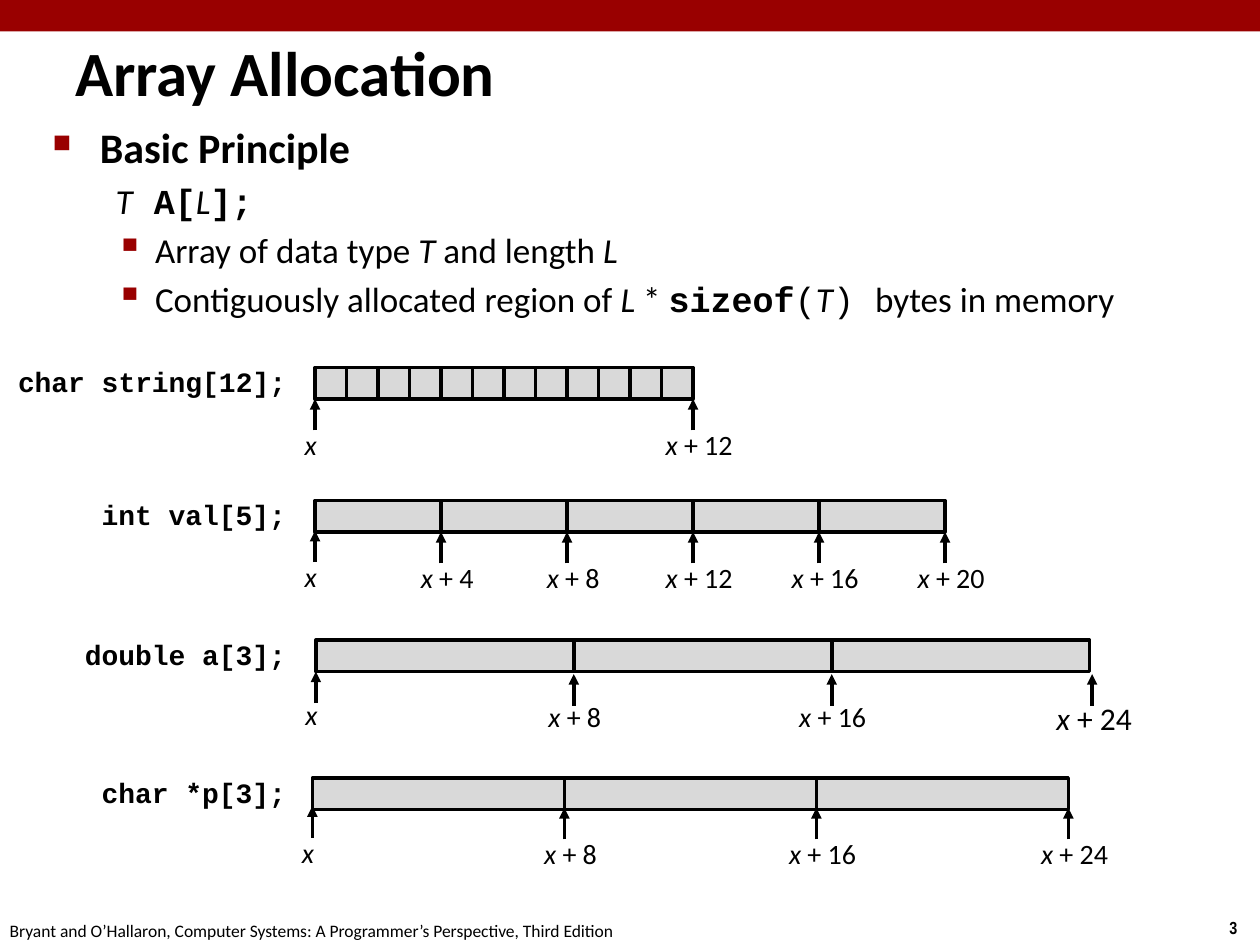
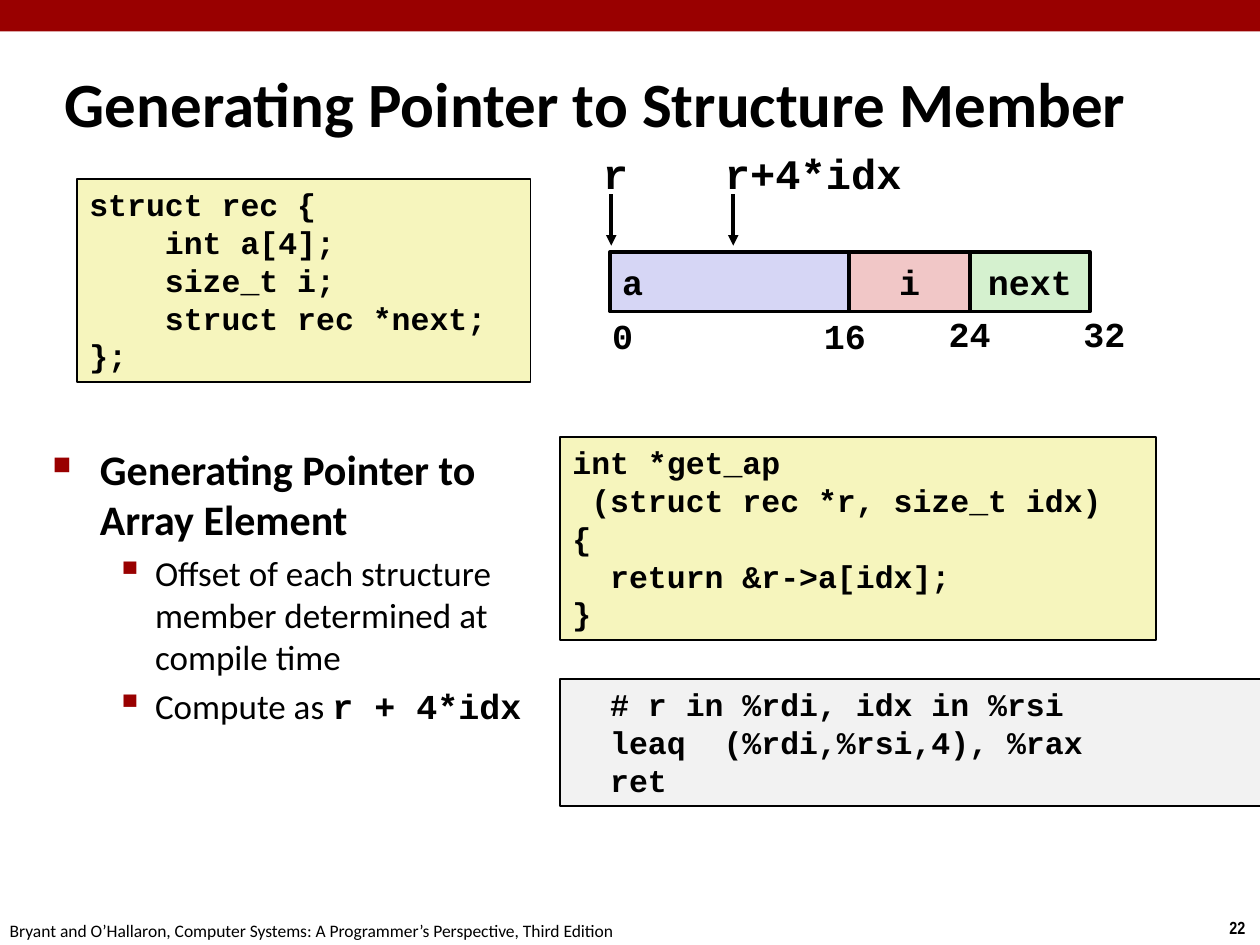
from lxml.etree import SubElement
from pptx import Presentation
from pptx.dml.color import RGBColor
from pptx.enum.shapes import MSO_CONNECTOR, MSO_SHAPE
from pptx.enum.text import MSO_ANCHOR, PP_ALIGN
from pptx.oxml.ns import qn
from pptx.util import Pt

rgb = RGBColor.from_string
RED, BLACK, GREY = "990000", "000000", "D9D9D9"
YELLOW, SILVER = "F6F5BD", "F2F2F2"
SANS, MONO = "Calibri", "Courier New"
ITALIC = {"italic": True}
CODE = {"font": MONO, "bold": True}
PLAIN_CODE = {"font": MONO}
OUTLINE = {
    "■": {"level": 0, "margin": 27, "hang": 27, "scale": 60, "size": 24, "bold": True},
    "▪": {"level": 1, "margin": 58.5, "hang": 22.5, "scale": 110, "size": 20, "bold": False},
}
OUTLINE[""] = OUTLINE["▪"]


def add_text(s, text, x, y, w, h, size=16, font=SANS, bold=False, italic=False,
             align=PP_ALIGN.LEFT, anchor=MSO_ANCHOR.TOP, wrap=True,
             fill=None, line=0, bullets=None):
    box = Pt(x), Pt(y), Pt(w), Pt(h)
    if fill:
        sp = s.shapes.add_shape(MSO_SHAPE.RECTANGLE, *box)
        sp.shadow.inherit = False
        sp.fill.solid()
        sp.fill.fore_color.rgb = rgb(fill)
        if line:
            sp.line.color.rgb = rgb(BLACK)
            sp.line.width = Pt(line)
        else:
            sp.line.fill.background()
    else:
        sp = s.shapes.add_textbox(*box)
    tf = sp.text_frame
    tf.word_wrap = wrap
    tf.vertical_anchor = anchor
    paragraphs = [text] if isinstance(text, str) else text
    for i, runs in enumerate(paragraphs):
        p = tf.paragraphs[0] if i == 0 else tf.add_paragraph()
        p.alignment = align
        p_size, p_bold = size, bold
        if bullets:
            style = OUTLINE[bullets[i]]
            p_size, p_bold = style["size"], style["bold"]
            p.level = style["level"]
            if i:
                p.space_before = Pt(p_size * 0.2)
            pPr = p._p.get_or_add_pPr()
            pPr.set("marL", str(Pt(style["margin"])))
            pPr.set("indent", str(-Pt(style["hang"])))
            if bullets[i]:
                SubElement(SubElement(pPr, qn("a:buClr")), qn("a:srgbClr"), val=RED)
                SubElement(pPr, qn("a:buSzPct"), val=str(style["scale"] * 1000))
                SubElement(pPr, qn("a:buChar"), char=bullets[i])
        for content, fmt in [(runs, {})] if isinstance(runs, str) else runs:
            r = p.add_run()
            r.text = content
            r.font.size = Pt(p_size)
            r.font.name = fmt.get("font", font)
            r.font.bold = fmt.get("bold", p_bold)
            r.font.italic = fmt.get("italic", italic)
            r.font.color.rgb = rgb(BLACK)


def add_arrow(s, x, y1, y2):
    c = s.shapes.add_connector(MSO_CONNECTOR.STRAIGHT, Pt(x), Pt(y1), Pt(x), Pt(y2))
    c.line.color.rgb = rgb(BLACK)
    c.line.width = Pt(2)
    SubElement(c.line._get_or_add_ln(), qn("a:tailEnd"), type="triangle")
    SubElement(c._element.spPr, qn("a:effectLst"))


prs = Presentation()
prs.slide_width, prs.slide_height = Pt(720), Pt(540)

slides = []
for number, title, x, y, w in [
    ("3", "Array Allocation", 36, 18, 468),
    ("22", "Generating Pointer to Structure Member", 30, 36, 654),
]:
    s = prs.slides.add_slide(prs.slide_layouts[6])
    slides.append(s)
    add_text(s, "", 0, 0, 720, 18, fill=RED)
    add_text(s, number, 695.5, 520.5, 24.5, 19.5, size=10, font="Arial Narrow", bold=True, wrap=False)
    add_text(s, "Bryant and O’Hallaron, Computer Systems: A Programmer’s Perspective, Third Edition",
             -1.5, 522, 366, 19.5, size=10, wrap=False)
    add_text(s, title, x, y, w, 45, size=36, bold=True, anchor=MSO_ANCHOR.MIDDLE)

s = slides[0]
add_text(s, [
    "Basic Principle",
    [("T", ITALIC), (" A[", CODE), ("L", ITALIC), ("];", CODE)],
    [("Array of data type ", {}), ("T", ITALIC), (" and length ", {}), ("L", ITALIC)],
    [("Contiguously allocated region of ", {}), ("L", ITALIC), (" * ", {}), ("sizeof", CODE),
     ("(", PLAIN_CODE), ("T", ITALIC), (") ", PLAIN_CODE), ("bytes in memory", {})],
], 23, 66, 654.5, 127.5, bullets=["■", "", "▪", "▪"])

arrays = [
    ("char string[12];", 180, 210, 18, 12, 1, [12], 36, 36, 5, 36),
    ("int val[5];", 180, 286, 72, 5, 4, [1, 2, 3, 4, 5], 35.3, 36, 5, 36),
    ("double a[3];", 180.5, 365.8, 147.4, 3, 8, [1, 2, 3], 36, 37.4, 7, 39),
    ("char *p[3];", 178.5, 444.7, 144, 3, 8, [1, 2, 3], 34, 35, 5, 36),
]
for decl, x, y, cell, count, step, marks, first_drop, drop, lift, label_left in arrays:
    decl_w = len(decl) * 9.6 + 14.4
    add_text(s, decl, 170.6 - decl_w, y - 5, decl_w, 26.6, font=MONO, bold=True,
             align=PP_ALIGN.RIGHT, wrap=False)
    for i in range(count):
        add_text(s, "", x + i * cell, y, cell, 18, fill=GREY, line=2)
    add_arrow(s, x, y + first_drop, y + first_drop - 18)
    add_text(s, "x", x - 18, y + first_drop - lift, 31, 26.6, italic=True, align=PP_ALIGN.CENTER)
    for mark in marks:
        edge = x + mark * cell
        large = decl.startswith("double") and mark == count
        add_arrow(s, edge + 1.4 * large, y + drop, y + drop - 18)
        add_text(s, [[("x ", ITALIC), (f"+ {mark * step}", {})]],
                 edge - label_left + 2 * large, y + drop - lift, 79, 26.6,
                 size=18 if large else 16, align=PP_ALIGN.CENTER)

s = slides[1]
code_boxes = [
    (["struct rec {", "    int a[4];", "    size_t i;", "    struct rec *next;", "};"],
     44, 102.3, 259.2, 116, YELLOW),
    (["int *get_ap", " (struct rec *r, size_t idx)", "{", "  return &r->a[idx];", "}"],
     320, 249.8, 340.6, 116, YELLOW),
    (["  # r in %rdi, idx in %rsi", "  leaq  (%rdi,%rsi,4), %rax", "  ret"],
     320, 388, 401, 72.7, SILVER),
]
for code, x, y, w, h, fill in code_boxes:
    add_text(s, code, x, y, w, h, size=18, font=MONO, bold=True, fill=fill, line=1)

add_text(s, [
    "Generating Pointer to Array Element",
    "Offset of each structure member determined at compile time",
    [("Compute as ", {}), ("r + 4*idx", CODE)],
], 23, 249.8, 309, 225.4, bullets=["■", "▪", "▪"])

for pointer, x, w in [("r", 349.3, 28.8), ("r+4*idx", 419, 116.6)]:
    add_text(s, pointer, x - 11.8, 80.6, w, 36, size=24, font=MONO, bold=True, wrap=False)
    add_arrow(s, x, 111, 140.4)

for member, x, w, fill, align in [
    ("a", 348.5, 136.8, "D6D6F5", PP_ALIGN.LEFT),
    ("i", 485.3, 69, "F1C7C7", PP_ALIGN.CENTER),
    ("next", 554.3, 68.5, "D5F1CF", PP_ALIGN.CENTER),
]:
    add_text(s, member, x, 144, w, 34, size=20, font=MONO, bold=True, align=align,
             anchor=MSO_ANCHOR.MIDDLE, wrap=False, fill=fill, line=2)

for offset, x, y in [("0", 342.7, 176.4), ("16", 463.7, 176.4), ("24", 535, 175), ("32", 612, 175)]:
    add_text(s, offset, x, y, 14.4 + 12 * len(offset), 31, size=20, font=MONO, bold=True, wrap=False)

prs.save("out.pptx")
